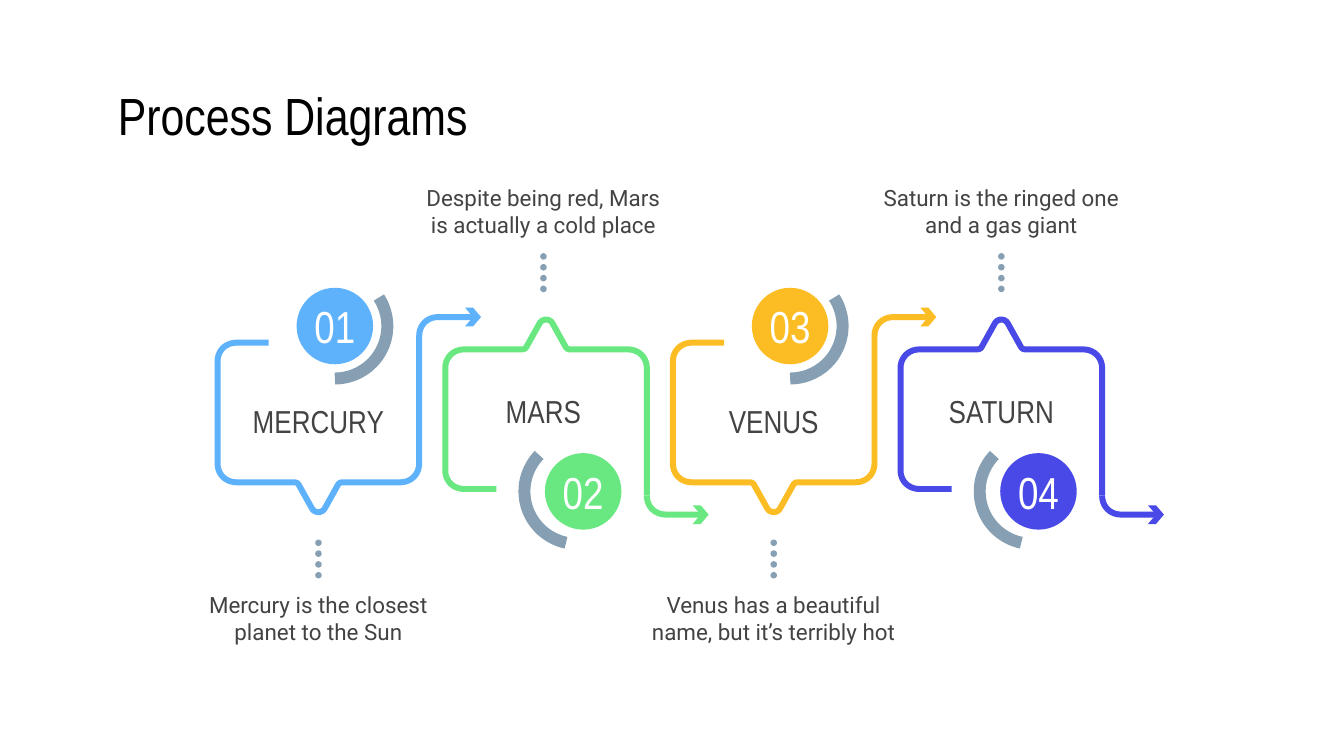
import math
from pptx import Presentation, util as u
from pptx.dml.color import RGBColor
from pptx.enum import shapes, text

COLORS = {
    "black": "000000", "white": "FFFFFF", "body": "434343", "accent": "869FB2",
    "blue": "5EB2FC", "green": "69E781", "yellow": "FCBD24", "indigo": "4949E7",
}
TITLE = "Process Diagrams"
STEPS = [
    ("01", "MERCURY", "Mercury is the closest planet to the Sun", "blue", 0),
    ("02", "MARS", "Despite being red, Mars is actually a cold place", "green", -1.4),
    ("03", "VENUS", "Venus has a beautiful name, but it’s terribly hot", "yellow", 0),
    ("04", "SATURN", "Saturn is the ringed one and a gas giant", "indigo", 0),
]
HEAD_FONT, BODY_FONT = "Arial Narrow", "Roboto"

LEFT, PITCH, MIDDLE = 116.6, 121.95, 222.8
WIDTH = 108
BADGE, ARC_RADIUS = 41, 28.1
DOT, DOT_COUNT, DOT_GAP = 3.5, 4, 5.8
INSET = 7.2

FRAME = [
    (27.4, -39.2), (10.1, -39.2), (4.3, -39.2, 0, -34.9, 0, -29.2),
    (0, 25.6), (0, 31.2, 4.3, 35.6, 10.1, 35.6),
    (40.3, 35.6), (41.5, 35.6, 42.7, 35.6, 43.4, 36.8),
    (50.6, 49.7), (52.2, 52.2, 55.8, 52.2, 57.4, 49.7),
    (64.6, 36.8), (65.3, 35.6, 66.5, 35.6, 67.7, 35.6),
    (97.9, 35.6), (103.7, 35.6, 108, 31.2, 108, 25.6), (108, -42.8),
]
HOOK = [(136.8, -52.9), (118.1, -52.9), (112.3, -52.9, 108, -48.6, 108, -42.8)]
ARROW = [(132.5, -58), (136.8, -52.9), (132.5, -47.9),
         (136.8, -47.9), (141.1, -52.9), (136.8, -58)]
BADGE_PLACES = {
    1: {"center": (62.8, -48.1), "arc_shift": 0, "angles": (-33, 90)},
    -1: {"center": (73.9, 40.5), "arc_shift": -3.4, "angles": (102, 224)},
}


def color(name):
    return RGBColor.from_string(COLORS[name])


def flatten(path, steps=10):
    points = [path[0]]
    for part in path[1:]:
        if len(part) == 2:
            points.append(part)
            continue
        controls = [points[-1], part[:2], part[2:4], part[4:]]
        for step in range(1, steps + 1):
            t = step / steps
            weights = [math.comb(3, k) * t**k * (1 - t)**(3 - k) for k in range(4)]
            points.append(tuple(sum(w * c[axis] for w, c in zip(weights, controls))
                                for axis in (0, 1)))
    return points


def arc_points(center, radius, angles, steps=32):
    start, end = angles
    turns = [math.radians(start + (end - start) * i / steps) for i in range(steps + 1)]
    return [(center[0] + radius * math.cos(a), center[1] + radius * math.sin(a))
            for a in turns]


def draw_outline(group, points, tint, weight=None):
    points = [(u.Pt(x), u.Pt(y)) for x, y in points]
    builder = group.shapes.build_freeform(*points[0], scale=1.0)
    builder.add_line_segments(points[1:], close=weight is None)
    outline = builder.convert_to_shape()
    outline.shadow.inherit = False
    if weight is None:
        outline.fill.solid()
        outline.fill.fore_color.rgb = color(tint)
        outline.line.fill.background()
    else:
        outline.fill.background()
        outline.line.color.rgb = color(tint)
        outline.line.width = u.Pt(weight)


def draw_circle(group, x, y, size, tint):
    circle = group.shapes.add_shape(
        shapes.MSO_SHAPE.OVAL, u.Pt(x - size / 2), u.Pt(y - size / 2), u.Pt(size), u.Pt(size))
    circle.shadow.inherit = False
    circle.fill.solid()
    circle.fill.fore_color.rgb = color(tint)
    circle.line.fill.background()
    return circle


def write(shape, words, size, font, tint, align=text.PP_ALIGN.CENTER, inset=INSET, wrap=True):
    frame = shape.text_frame
    frame.text = words
    frame.word_wrap = wrap
    frame.vertical_anchor = text.MSO_ANCHOR.MIDDLE
    frame.margin_left = frame.margin_right = u.Pt(inset)
    frame.margin_top = frame.margin_bottom = u.Pt(inset)
    para = frame.paragraphs[0]
    para.alignment = align
    span = para.runs[0]
    span.font.size, span.font.name = u.Pt(size), font
    span.font.color.rgb = color(tint)


def add_label(group, x, y, width, height, words, size, font):
    box = group.shapes.add_textbox(
        u.Pt(x - width / 2), u.Pt(y - height / 2), u.Pt(width), u.Pt(height))
    write(box, words, size, font, "body")


def add_step(page, left, flip, number, name, caption, tint, shift):
    group = page.shapes.add_group_shape()

    def place(path):
        return [(left + x, MIDDLE + flip * y) for x, y in flatten(path)]

    badge = BADGE_PLACES[flip]
    x, y = left + badge["center"][0], MIDDLE + badge["center"][1]
    circle = draw_circle(group, x, y, BADGE, tint)
    write(circle, number, 24, HEAD_FONT, "white", inset=0, wrap=False)
    arc = arc_points((x + badge["arc_shift"], y), ARC_RADIUS, badge["angles"])
    draw_outline(group, arc, "accent", 6.42)

    draw_outline(group, place(HOOK), tint, 3.21)
    draw_outline(group, place(FRAME), tint, 3.21)
    draw_outline(group, place(ARROW), tint)

    center = left + WIDTH / 2 + shift
    for i in range(DOT_COUNT):
        draw_circle(group, center, MIDDLE + flip * (68 + i * DOT_GAP), DOT, "accent")
    add_label(group, center, MIDDLE + flip * 2.9, WIDTH, 31.7, name, 17, HEAD_FONT)
    add_label(group, center, MIDDLE - 0.8 + flip * 108.9, 146.9, 45.4, caption, 12, BODY_FONT)


def main():
    deck = Presentation()
    deck.slide_width, deck.slide_height = u.Pt(720), u.Pt(405)
    page = deck.slides.add_slide(deck.slide_layouts[6])
    title = page.shapes.add_textbox(u.Pt(56), u.Pt(42.5), u.Pt(608.4), u.Pt(38.2))
    write(title, TITLE, 28, HEAD_FONT, "black", text.PP_ALIGN.LEFT)
    for index, step in enumerate(STEPS):
        add_step(page, LEFT + index * PITCH, -1 if index % 2 else 1, *step)
    deck.save("out.pptx")


if __name__ == "__main__":
    main()
